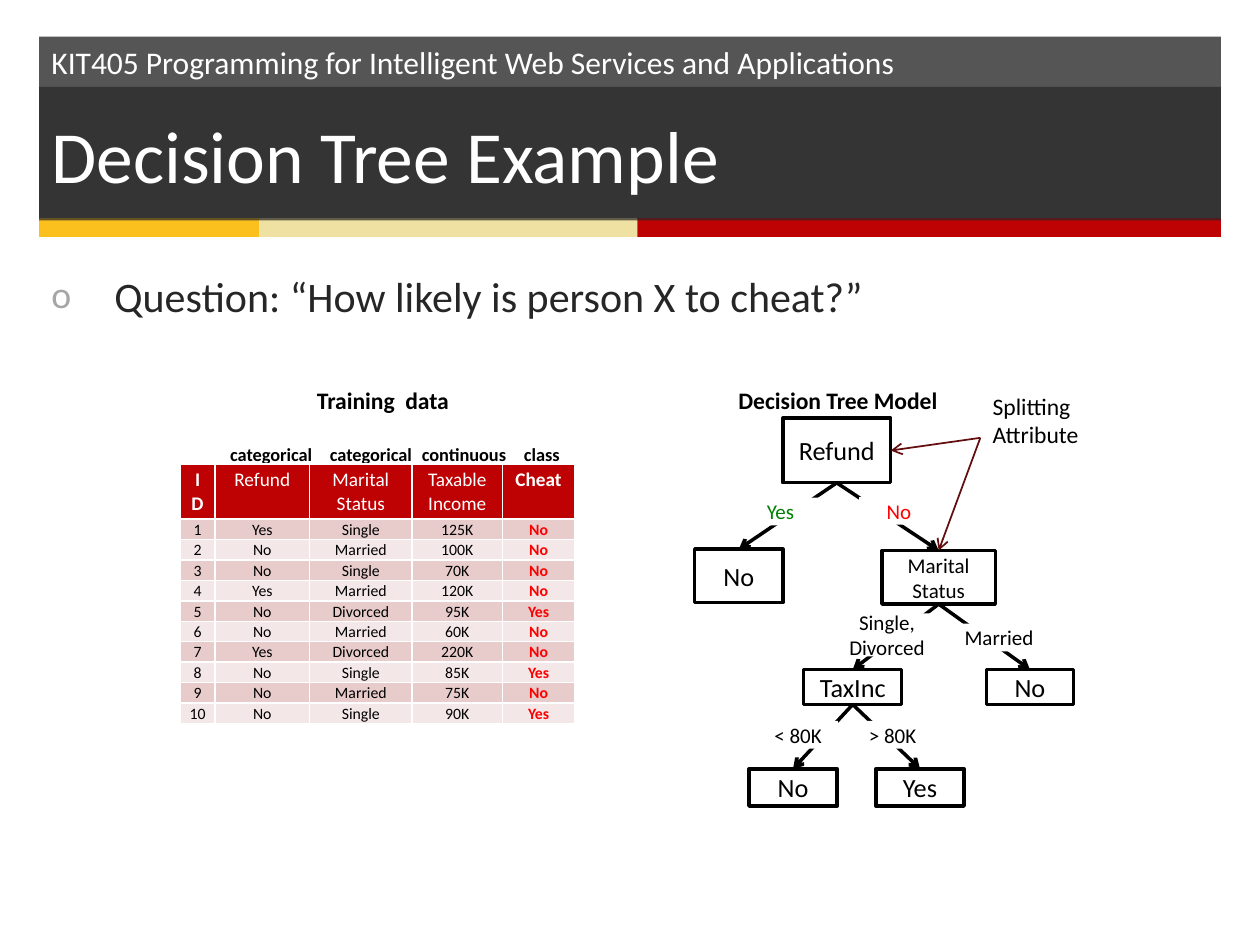
"""Build the decision tree example slide with its training table and tree model."""
from dataclasses import dataclass

from lxml import etree
from pptx import Presentation
from pptx.dml.color import RGBColor
from pptx.enum import shapes, text
from pptx.oxml import ns
from pptx.util import Pt


@dataclass(frozen=True)
class Theme:
    font: str = "Calibri"
    white: str = "FFFFFF"
    black: str = "000000"
    band: str = "0D0D0D"
    ink: str = "262626"
    bullet: str = "A6A6A6"
    gold: str = "FBC01E"
    cream: str = "EFE1A2"
    crimson: str = "BE0204"
    maroon: str = "640D0E"
    green: str = "008000"
    red: str = "FF0000"
    odd_row: str = "E8CCCC"
    even_row: str = "F4E7E7"
    title_size: float = 42
    question_size: float = 24
    course_size: float = 18
    node_size: float = 15
    caption_size: float = 13.5
    label_size: float = 12
    header_size: float = 11
    kind_size: float = 10.5
    cell_size: float = 9


theme = Theme()
LEFT, CENTER = text.PP_ALIGN.LEFT, text.PP_ALIGN.CENTER
TOP, MIDDLE, BOTTOM = text.MSO_ANCHOR.TOP, text.MSO_ANCHOR.MIDDLE, text.MSO_ANCHOR.BOTTOM


def write(frame, words, size, color=theme.black, align=CENTER, anchor=MIDDLE, bold=False, wrap=True):
    frame.word_wrap = wrap
    frame.vertical_anchor = anchor
    paragraph = frame.paragraphs[0]
    paragraph.text = words
    paragraph.alignment = align
    font_format = {"name": theme.font, "size": Pt(size), "bold": bold}
    for run in paragraph.runs:
        for key, value in font_format.items():
            setattr(run.font, key, value)
        run.font.color.rgb = RGBColor.from_string(color)


def paint(part, fill, alpha=None, line=None):
    part.shadow.inherit = False
    part.fill.solid()
    part.fill.fore_color.rgb = RGBColor.from_string(fill)
    if alpha:
        tint = part.fill._xPr.find(".//" + ns.qn("a:srgbClr"))
        etree.SubElement(tint, ns.qn("a:alpha")).set("val", str(alpha * 1000))
    if line:
        part.line.color.rgb = RGBColor.from_string(line)
        part.line.width = Pt(2)
    else:
        part.line.fill.background()


deck = Presentation()
deck.slide_width, deck.slide_height = Pt(720), Pt(540)
slide = deck.slides.add_slide(deck.slide_layouts[5])
canvas = slide.shapes
RECT = shapes.MSO_SHAPE.RECTANGLE

margin, banner_width = 22.3, 675.4
banner = canvas.add_shape(RECT, Pt(margin), Pt(20.9), Pt(banner_width), Pt(104.4))
paint(banner, theme.band, alpha=70)

stripe_left = margin
for width, color in ((126, theme.gold), (216, theme.cream), (333.4, theme.crimson)):
    stripe = canvas.add_shape(RECT, Pt(stripe_left), Pt(124.6), Pt(width), Pt(10.8))
    paint(stripe, color)
    stripe_left += width

title = canvas.title
title_format = {"left": Pt(margin), "top": Pt(49.7), "width": Pt(banner_width), "height": Pt(76.3)}
for key, value in title_format.items():
    setattr(title, key, value)
paint(title, theme.ink, alpha=70)
write(title.text_frame, "Decision Tree Example", theme.title_size, theme.white, LEFT)
title.text_frame.auto_size = text.MSO_AUTO_SIZE.NONE
canvas._spTree.append(title._element)

course = "KIT405 Programming for Intelligent Web Services and Applications"
captions = (
    (course, margin, 20.9, 586, 29, theme.course_size, theme.white, LEFT, False, True),
    ("Question: “How likely is person X to cheat?”", margin, 151.2, banner_width, 334,
     theme.question_size, theme.ink, LEFT, False, True),
    ("Training  data", 134.6, 216.7, 168.5, 23.8, theme.caption_size, theme.black, CENTER, True, True),
    ("Decision Tree Model", 394.6, 216.7, 168.5, 23.8, theme.caption_size, theme.black, CENTER, True, True),
    ("categorical", 124.5, 250, 62.6, 20, theme.kind_size, theme.black, LEFT, True, False),
    ("categorical", 181.5, 250, 62.6, 20, theme.kind_size, theme.black, LEFT, True, False),
    ("continuous", 234, 250, 63.4, 20, theme.kind_size, theme.black, LEFT, True, False),
    ("class", 292.3, 250, 35.3, 20, theme.kind_size, theme.black, LEFT, True, False),
    ("Splitting\nAttribute", 560.2, 220.3, 64.8, 40.3, theme.caption_size, theme.black, LEFT, False, False),
)
for words, left, top, width, height, size, color, align, bold, wrap in captions:
    caption = canvas.add_textbox(Pt(left), Pt(top), Pt(width), Pt(height))
    write(caption.text_frame, words, size, color, align, TOP, bold, wrap)
    if words.startswith("Question"):
        properties = caption.text_frame.paragraphs[0]._p.get_or_add_pPr()
        properties.set("marL", str(Pt(36)))
        properties.set("indent", str(Pt(-36)))
        bullet_color = etree.SubElement(properties, ns.qn("a:buClr"))
        etree.SubElement(bullet_color, ns.qn("a:srgbClr")).set("val", theme.bullet)
        for tag, key, value in (("a:buSzPct", "val", "90000"), ("a:buFont", "typeface", theme.font),
                                ("a:buChar", "char", "o")):
            etree.SubElement(properties, ns.qn(tag)).set(key, value)

records = (
    ("ID", "Refund", "Marital Status", "Taxable Income", "Cheat"),
    ("1", "Yes", "Single", "125K", "No"),
    ("2", "No", "Married", "100K", "No"),
    ("3", "No", "Single", "70K", "No"),
    ("4", "Yes", "Married", "120K", "No"),
    ("5", "No", "Divorced", "95K", "Yes"),
    ("6", "No", "Married", "60K", "No"),
    ("7", "Yes", "Divorced", "220K", "No"),
    ("8", "No", "Single", "85K", "Yes"),
    ("9", "No", "Married", "75K", "No"),
    ("10", "No", "Single", "90K", "Yes"),
)
column_widths = (19.8, 54.2, 58.4, 51.8, 41.2)
training = canvas.add_table(len(records), len(column_widths), Pt(103), Pt(265),
                            Pt(sum(column_widths)), Pt(147.6)).table
for column, width in zip(training.columns, column_widths):
    column.width = Pt(width)
for r, record in enumerate(records):
    header = r == 0
    training.rows[r].height = Pt(30.2 if header else 11.7)
    row_fill = theme.crimson if header else theme.odd_row if r % 2 else theme.even_row
    side, upper, lower = (5, 2.6, 2.6) if header else (0.7, 0.7, 0)
    cell_format = {"margin_left": Pt(side), "margin_right": Pt(side),
                   "margin_top": Pt(upper), "margin_bottom": Pt(lower)}
    for c, value in enumerate(record):
        cell = training.cell(r, c)
        for key, setting in cell_format.items():
            setattr(cell, key, setting)
        cell.fill.solid()
        cell.fill.fore_color.rgb = RGBColor.from_string(row_fill)
        is_class = c == len(record) - 1
        if header:
            write(cell.text_frame, value, theme.header_size, theme.white, bold=is_class or c == 0)
        else:
            write(cell.text_frame, value, theme.cell_size, theme.red if is_class else theme.black, bold=is_class)
        cell.vertical_anchor = TOP if header else BOTTOM

node_rows = (
    ("refund", "Refund", 447.3, 239, 61.7, 36.9, theme.node_size),
    ("refunded", "No", 397, 313.8, 50.4, 30.6, theme.node_size),
    ("marital", "Marital Status", 504, 314.6, 64.8, 30.6, theme.label_size),
    ("income", "TaxInc", 459.3, 382.6, 56, 20, theme.node_size),
    ("married", "No", 563.7, 382.6, 49.7, 20, theme.node_size),
    ("low", "No", 428, 439.3, 50.4, 21.3, theme.node_size),
    ("high", "Yes", 500.5, 439.3, 50.4, 21.3, theme.node_size),
)
nodes = {}
for key, words, left, top, width, height, size in node_rows:
    nodes[key] = canvas.add_shape(RECT, Pt(left), Pt(top), Pt(width), Pt(height))
    paint(nodes[key], theme.white, line=theme.black)
    write(nodes[key].text_frame, words, size)

branches = [(parent, child, 0, theme.black, 2) for parent, child in (
    ("refund", "refunded"), ("refund", "marital"), ("marital", "income"),
    ("marital", "married"), ("income", "low"), ("income", "high"))]
pointers = [(None, "refund", 3, theme.maroon, 1), (None, "marital", 0, theme.maroon, 1)]
for parent, child, site, color, width in branches + pointers:
    arrow = canvas.add_connector(shapes.MSO_CONNECTOR.STRAIGHT, Pt(560.2), Pt(250.2), Pt(560.2), Pt(250.2))
    if parent:
        arrow.begin_connect(nodes[parent], 2)
    arrow.end_connect(nodes[child], site)
    arrow.line.color.rgb = RGBColor.from_string(color)
    arrow.line.width = Pt(width)
    etree.SubElement(arrow.line._get_or_add_ln(), ns.qn("a:tailEnd")).set("type", "arrow")
    etree.SubElement(arrow._element.spPr, ns.qn("a:effectLst"))

branch_labels = (
    ("Yes", 419, 284.4, 54, 15.8, theme.green),
    ("No", 491, 284, 45.4, 15.8, theme.red),
    ("Single, Divorced", 474.5, 350.6, 64.8, 24.5, theme.black),
    ("Married", 541.4, 356.4, 59, 15.8, theme.black),
    ("< 80K", 433.4, 412, 45.4, 15.8, theme.black),
    ("> 80K", 487.4, 412, 45.4, 15.8, theme.black),
)
for words, left, top, width, height, color in branch_labels:
    label = canvas.add_shape(RECT, Pt(left), Pt(top), Pt(width), Pt(height))
    paint(label, theme.white)
    write(label.text_frame, words, theme.label_size, color)

deck.save("out.pptx")
